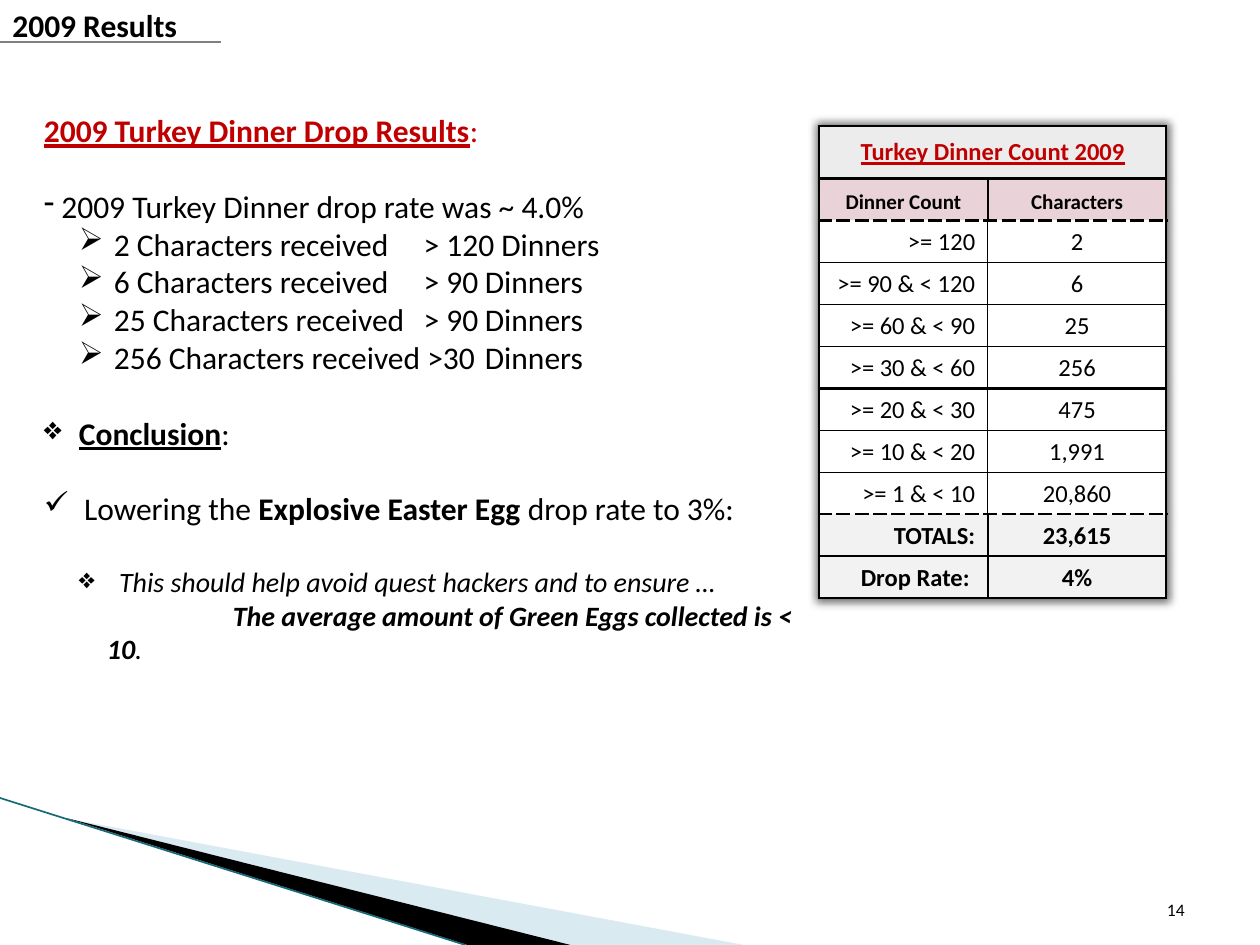
"""Build the slide that reports the 2009 Turkey Dinner drop results."""
from dataclasses import dataclass

from lxml import etree
from pptx import Presentation
from pptx.dml.color import RGBColor
from pptx.enum.shapes import MSO_CONNECTOR
from pptx.enum.text import MSO_ANCHOR, PP_ALIGN
from pptx.oxml.ns import qn
from pptx.util import Pt

STRAIGHT = MSO_CONNECTOR.STRAIGHT
TOP, MIDDLE, BOTTOM = MSO_ANCHOR.TOP, MSO_ANCHOR.MIDDLE, MSO_ANCHOR.BOTTOM
LEFT, CENTER, RIGHT = PP_ALIGN.LEFT, PP_ALIGN.CENTER, PP_ALIGN.RIGHT


@dataclass(frozen=True)
class Theme:
    font: str = "Calibri"
    ink: str = "000000"
    accent: str = "C00000"
    paper: str = "FFFFFF"
    title_fill: str = "ECECEC"
    header_fill: str = "EAD3D8"
    total_fill: str = "F2F2F2"
    blade: str = "A0CBDC"
    edge: str = "16697A"
    rule: str = "808080"
    heading: float = 18
    note: float = 16
    cell: float = 14
    label: float = 12
    number: float = 10


def add_xml(parent, tag, **attributes):
    return etree.SubElement(parent, qn(tag), attributes)


def add_color(parent, color, alpha=None):
    element = add_xml(parent, "a:srgbClr", val=color)
    if alpha is not None:
        add_xml(element, "a:alpha", val=str(alpha * 1000))


class SlideBuilder:
    def __init__(self, slide, theme):
        self.slide = slide
        self.theme = theme

    def style(self, font, size, color, bold=False, italic=False, underline=False):
        font.name, font.size = self.theme.font, Pt(size)
        font.color.rgb = RGBColor.from_string(color)
        font.bold, font.italic, font.underline = bold, italic, underline

    def blade(self, points, color, alpha=100):
        corners = [(Pt(x), Pt(y)) for x, y in points]
        builder = self.slide.shapes.build_freeform(*corners[0])
        builder.add_line_segments(corners[1:])
        shape = builder.convert_to_shape()
        shape.shadow.inherit = False
        shape.line.fill.background()
        shape.fill.solid()
        shape.fill.fore_color.rgb = RGBColor.from_string(color)
        fill_color = shape._element.spPr.find(qn("a:solidFill"))[0]
        add_xml(fill_color, "a:alpha", val=str(alpha * 1000))

    def line(self, start, end, color, width):
        ends = [Pt(value) for value in (*start, *end)]
        connector = self.slide.shapes.add_connector(STRAIGHT, *ends)
        connector.line.color.rgb = RGBColor.from_string(color)
        connector.line.width = Pt(width)
        add_xml(connector._element.spPr, "a:effectLst")

    def text_box(self, left, top, width, height, anchor=TOP):
        shape = self.slide.shapes.add_textbox(Pt(left), Pt(top), Pt(width), Pt(height))
        frame = shape.text_frame
        frame.word_wrap = True
        frame.vertical_anchor = anchor
        return frame

    def paragraph(self, paragraph, runs, size, color=None, align=LEFT, before=0,
                  margin=0, indent=0, bullet=None, tabs=(), italic=False):
        paragraph.alignment = align
        paragraph.space_before = Pt(before)
        self.style(paragraph.font, size, color or self.theme.ink, italic=italic)
        properties = paragraph._p.get_or_add_pPr()
        properties.set("marL", str(Pt(margin)))
        properties.set("indent", str(Pt(indent)))
        default = properties.find(qn("a:defRPr"))
        if bullet:
            default.addprevious(etree.Element(qn("a:buChar"), char=bullet))
        if tabs:
            stops = etree.Element(qn("a:tabLst"))
            for position in tabs:
                add_xml(stops, "a:tab", pos=str(Pt(position)), algn="l")
            default.addprevious(stops)
        for text, *marks in runs:
            run = paragraph.add_run()
            run.text = text
            self.style(run.font, size, color or self.theme.ink, "bold" in marks,
                       italic, "underline" in marks)

    def border(self, cell, sides):
        properties = cell._tc.get_or_add_tcPr()
        for index, (side, (width, dash)) in enumerate(sides.items()):
            line = etree.Element(qn(f"a:ln{side}"), w=str(Pt(width)))
            add_color(add_xml(line, "a:solidFill"), self.theme.ink)
            add_xml(line, "a:prstDash", val=dash)
            properties.insert(index, line)

    def cell(self, cell, text, size, fill, align, anchor=BOTTOM, color=None, marks=()):
        cell.fill.solid()
        cell.fill.fore_color.rgb = RGBColor.from_string(fill)
        cell.margin_top = cell.margin_bottom = Pt(3)
        cell.vertical_anchor = anchor
        self.paragraph(cell.text_frame.paragraphs[0], [(text, *marks)], size, color, align)

    def table(self, left, top, widths, heights, shadow_alpha):
        frame = self.slide.shapes.add_table(
            len(heights), len(widths), Pt(left), Pt(top), Pt(sum(widths)), Pt(sum(heights)))
        table = frame.table
        table.first_row = table.horz_banding = False
        for column, width in zip(table.columns, widths):
            column.width = Pt(width)
        for row, height in zip(table.rows, heights):
            row.height = Pt(height)
        effects = etree.Element(qn("a:effectLst"))
        shadow = add_xml(effects, "a:outerShdw", blurRad=str(Pt(5)), dist="0",
                         sx="101000", sy="101000", algn="ctr")
        add_color(shadow, self.theme.ink, shadow_alpha)
        table._tbl.tblPr.insert(0, effects)
        return table


def add_count_table(builder):
    theme = builder.theme
    rows = [("Dinner Count", "Characters"), (">= 120", "2"), (">= 90 & < 120", "6"),
            (">= 60 & < 90", "25"), (">= 30 & < 60", "256"), (">= 20 & < 30", "475"),
            (">= 10 & < 20", "1,991"), (">= 1 & < 10", "20,860"),
            ("TOTALS:", "23,615"), ("Drop Rate: ", "4%")]
    thin, medium, thick, heavy = [(width, "solid") for width in (0.5, 1, 1.5, 2)]
    dashed = (1.5, "sysDash")
    rules = [thick, thick, dashed, thin, thin, thin, heavy, thin, thin, dashed, medium, thick]
    table = builder.table(468, 72, (96.5, 102), [30] + [24] * len(rows), 60)
    table.cell(0, 0).merge(table.cell(0, 1))
    builder.cell(table.cell(0, 0), "Turkey Dinner Count 2009", theme.cell, theme.title_fill,
                 CENTER, MIDDLE, theme.accent, ("bold", "underline"))
    for index, texts in enumerate(rows, 1):
        header, total = index == 1, index > 8
        fill = theme.header_fill if header else theme.total_fill if total else theme.paper
        for column, text in enumerate(texts):
            builder.cell(table.cell(index, column), text,
                         theme.label if header else theme.cell, fill,
                         CENTER if header or column else RIGHT,
                         marks=("bold",) if header or total else ())
    for index in range(len(rows) + 1):
        inner = thick if index == 0 else thin if 2 <= index <= 8 else medium
        for column, (left, right) in enumerate(((thick, inner), (inner, thick))):
            builder.border(table.cell(index, column),
                           {"L": left, "R": right, "T": rules[index], "B": rules[index + 1]})


def add_findings(builder):
    theme = builder.theme
    gap = 21.6
    level_two = dict(size=theme.heading, margin=40, indent=-20, bullet="➢", tabs=(174, 217))
    received = ["2 Characters received\t> 120 Dinners", "6 Characters received\t> 90\tDinners",
                "25 Characters received\t> 90\tDinners", "256 Characters received >30\tDinners"]
    paragraphs = [
        ([("2009 Turkey Dinner Drop Results", "bold", "underline"), (":",)],
         dict(size=theme.heading, color=theme.accent)),
        ([("2009 Turkey Dinner drop rate was ~ 4.0%",)],
         dict(size=theme.heading, before=gap, margin=10, indent=-10, bullet="-")),
        *[([(text,)], level_two) for text in received],
        ([("Conclusion", "bold", "underline"), (":",)],
         dict(size=theme.heading, before=gap, margin=20, indent=-20, bullet="❖")),
        ([("Lowering the ",), ("Explosive Easter Egg ", "bold"), ("drop rate to 3%:",)],
         dict(size=theme.heading, before=gap, margin=23, indent=-23, bullet="✓")),
        ([("This should help avoid quest hackers and to ensure …",)],
         dict(size=theme.note, before=gap, margin=43, indent=-23, bullet="❖", italic=True)),
        ([("The average amount of Green Eggs collected is < 10", "bold"), (".",)],
         dict(size=theme.note, margin=36, indent=72, italic=True)),
    ]
    frame = builder.text_box(18, 60, 444, 307)
    for index, (runs, options) in enumerate(paragraphs):
        paragraph = frame.add_paragraph() if index else frame.paragraphs[0]
        builder.paragraph(paragraph, runs, **options)


def main():
    presentation = Presentation()
    presentation.slide_width, presentation.slide_height = Pt(720), Pt(540)
    slide = presentation.slides.add_slide(presentation.slide_layouts[6])
    theme = Theme()
    builder = SlideBuilder(slide, theme)
    builder.blade([(39.5, 468), (425, 540), (325, 540)], theme.blade, 40)
    builder.blade([(38, 467.5), (326, 540), (267, 540)], theme.ink)
    builder.line((0, 456), (266, 540), theme.edge, 0.95)
    number = builder.text_box(516, 500, 168, 29, BOTTOM)
    builder.paragraph(number.paragraphs[0], [("14",)], theme.number, align=RIGHT)
    builder.line((0, 24), (126, 24), theme.rule, 0.75)
    title = builder.text_box(0, 0, 132, 29)
    builder.paragraph(title.paragraphs[0], [("2009 Results", "bold")], theme.heading)
    add_count_table(builder)
    add_findings(builder)
    presentation.save("out.pptx")


if __name__ == "__main__":
    main()
